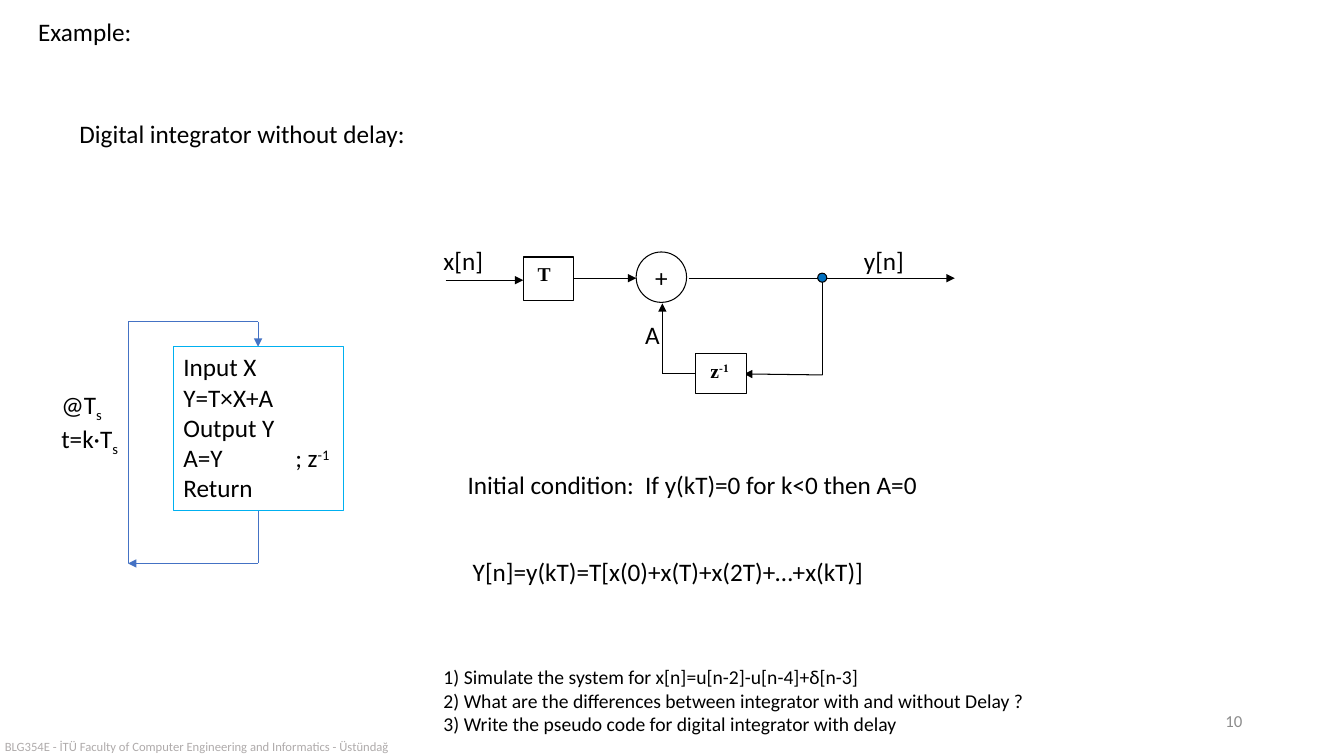
from dataclasses import dataclass
from itertools import pairwise
from typing import Optional

from lxml.etree import SubElement
from pptx import Presentation
from pptx.dml.color import RGBColor
from pptx.enum.shapes import MSO_CONNECTOR as Conn, MSO_SHAPE as Shp
from pptx.enum.text import MSO_ANCHOR as Anchor, PP_ALIGN as Align
from pptx.oxml.ns import qn
from pptx.util import Emu, Pt

PX = 9144  # EMU per px, 100 px to the inch


@dataclass(frozen=True)
class Theme:
    black: str = "000000"
    white: str = "FFFFFF"
    node: str = "0070C0"
    loop: str = "4472C4"
    code: str = "00B0F0"
    number: str = "8C8C8C"
    footer: str = "AFABAB"
    body: int = 18
    small: int = 14
    page: int = 12
    tiny: int = 9
    sans: str = "Calibri"
    serif: str = "Times New Roman"


T = Theme()
SUPER, SUB = 30000, -25000


@dataclass(frozen=True)
class Box:
    """A text box, or a shape when one is given; '|' switches to shifted text."""
    x: int
    y: int
    w: int
    h: int
    text: str = ""
    size: int = T.body
    color: str = T.black
    font: str = T.sans
    bold: bool = False
    wrap: bool = False
    shift: int = SUPER
    align: Align = Align.LEFT
    anchor: Anchor = Anchor.TOP
    margin: Optional[int] = None
    tab: Optional[int] = None
    shape: Optional[Shp] = None
    fill: Optional[str] = T.white
    line: str = T.black


@dataclass(frozen=True)
class Wire:
    """Straight segments through the points, with an arrowhead at the end."""
    points: tuple[tuple[int, int], ...]
    color: str = T.black
    width: float = 0.75


def px(n: int) -> Emu:
    return Emu(n * PX)


def rgb(color: str) -> RGBColor:
    return RGBColor.from_string(color)


def write_text(tf, b: Box) -> None:
    tf.word_wrap = b.wrap
    tf.vertical_anchor = b.anchor
    if b.margin is not None:
        tf.margin_left = tf.margin_right = px(b.margin)
        tf.margin_top = tf.margin_bottom = px(b.margin)
    for i, row in enumerate(b.text.split("\n")):
        p = tf.add_paragraph() if i else tf.paragraphs[0]
        p.alignment = b.align
        if b.tab and "\t" in row:
            tabs = SubElement(p._p.get_or_add_pPr(), qn("a:tabLst"))
            SubElement(tabs, qn("a:tab"), pos=str(px(b.tab)), algn="l")
        for k, part in enumerate(row.split("|")):
            r = p.add_run()
            r.text = part
            f = r.font
            f.name, f.size, f.bold = b.font, Pt(b.size), b.bold
            f.color.rgb = rgb(b.color)
            if k % 2:
                r._r.get_or_add_rPr().set("baseline", str(b.shift))


def draw_box(s, b: Box) -> None:
    area = [px(n) for n in (b.x, b.y, b.w, b.h)]
    if b.shape is None:
        sp = s.shapes.add_textbox(*area)
    else:
        sp = s.shapes.add_shape(b.shape, *area)
        sp.shadow.inherit = False
        sp.line.color.rgb = rgb(b.line)
        sp.line.width = Pt(0.75)
        if b.fill:
            sp.fill.solid()
            sp.fill.fore_color.rgb = rgb(b.fill)
        else:
            sp.fill.background()
    if b.text:
        write_text(sp.text_frame, b)


def draw_wire(s, wire: Wire) -> None:
    for start, end in pairwise(wire.points):
        c = s.shapes.add_connector(Conn.STRAIGHT, *(px(n) for n in start + end))
        c.line.color.rgb = rgb(wire.color)
        c.line.width = Pt(wire.width)
        SubElement(c._element.spPr, qn("a:effectLst"))
        if end == wire.points[-1]:
            SubElement(c.line._get_or_add_ln(), qn("a:tailEnd"), type="triangle")


# Headings, formulas and questions
TEXTS = (
    Box(28, 11, 114, 40, "Example:"),
    Box(69, 112, 347, 40, "Digital integrator without delay:"),
    Box(454, 461, 472, 40, "Initial condition:  If y(kT)=0 for k<0 then A=0"),
    Box(459, 547, 411, 40, "Y[n]=y(kT)=T[x(0)+x(T)+x(2T)+…+x(kT)]"),
    Box(430, 655, 602, 81,
        "1) Simulate the system for x[n]=u[n-2]-u[n-4]+δ[n-3]\n"
        "2) What are the differences between integrator with and without Delay ?\n"
        "3) Write the pseudo code for digital integrator with delay", T.small),
    Box(942, 695, 300, 40, "10", T.page, T.number, wrap=True,
        align=Align.RIGHT, anchor=Anchor.MIDDLE),
    Box(-5, 728, 667, 25,
        "BLG354E - İTÜ Faculty of Computer Engineering and Informatics - Üstündağ",
        T.tiny, T.footer, wrap=True),
)

# Block diagram
DIAGRAM_WIRES = (
    Wire(((442, 278), (519, 278))),
    Wire(((569, 276), (631, 276))),
    Wire(((683, 276), (947, 276))),
    Wire(((816, 276), (816, 372), (738, 371))),
    Wire(((690, 371), (657, 371), (657, 301))),
)
DIAGRAM = (
    Box(519, 255, 50, 43, " T", T.small, font=T.serif, bold=True, wrap=True,
        shape=Shp.RECTANGLE),
    Box(631, 250, 50, 50, "+", align=Align.CENTER, anchor=Anchor.MIDDLE,
        margin=0, shape=Shp.OVAL),
    Box(690, 351, 50, 39, " z|-1", T.small, font=T.serif, bold=True, wrap=True,
        shape=Shp.RECTANGLE),
    Box(811, 271, 9, 9, shape=Shp.OVAL, fill=T.node),
    Box(430, 238, 60, 40, "x[n]"),
    Box(847, 238, 60, 40, "y[n]"),
    Box(630, 312, 35, 40, "A", wrap=True),
)

# Sampling loop around the pseudo code
LOOP_WIRES = (
    Wire(((127, 559), (127, 319), (256, 319), (256, 344)), T.loop, 0.5),
    Wire(((256, 506), (256, 559), (127, 559)), T.loop, 0.5),
)
LOOP = (
    Box(172, 344, 169, 162, "Input X\nY=T×X+A\nOutput Y\nA=Y\t; z|-1\nReturn",
        wrap=True, tab=111, shape=Shp.RECTANGLE, fill=None, line=T.code),
    Box(51, 381, 83, 71, "@T|s\nt=k·T|s", wrap=True, shift=SUB),
)


def main() -> None:
    prs = Presentation()
    prs.slide_width, prs.slide_height = px(1333), px(750)
    s = prs.slides.add_slide(prs.slide_layouts[6])
    for wire in DIAGRAM_WIRES + LOOP_WIRES:
        draw_wire(s, wire)
    for box in DIAGRAM + LOOP + TEXTS:
        draw_box(s, box)
    prs.save("out.pptx")


if __name__ == "__main__":
    main()
